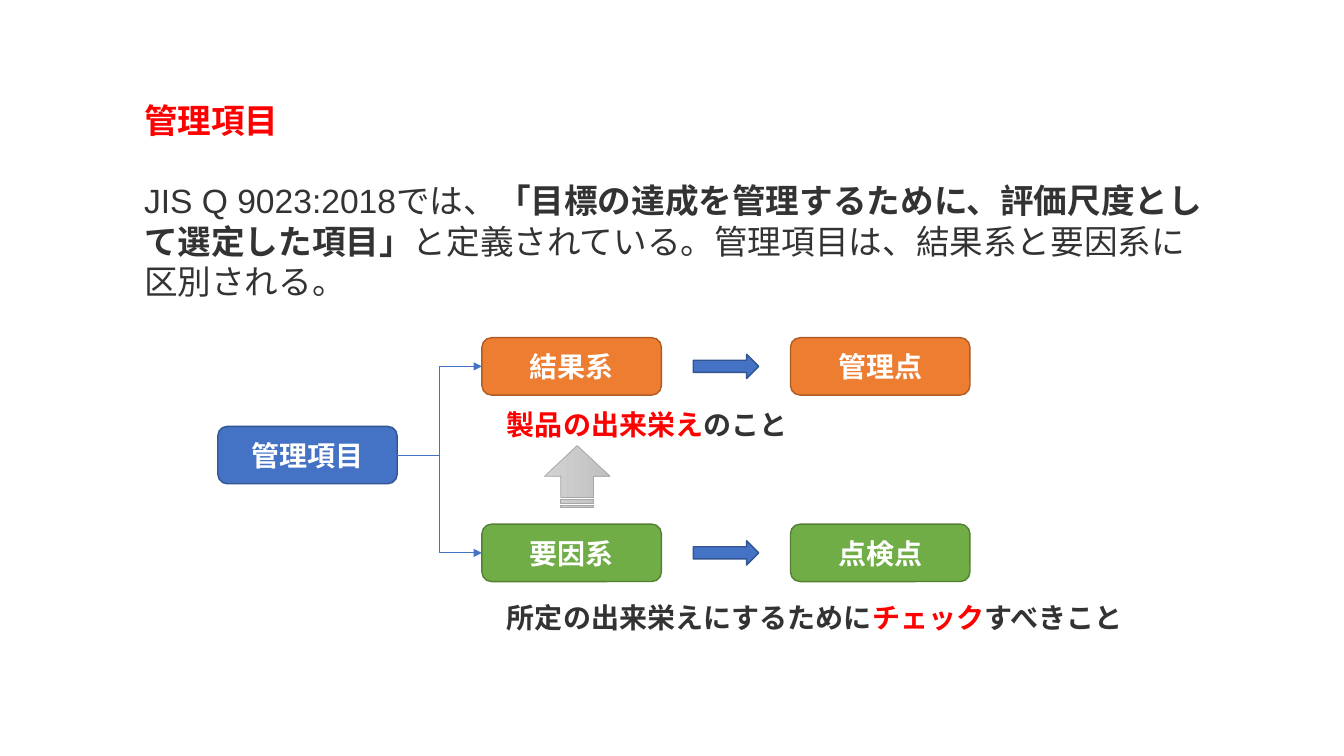
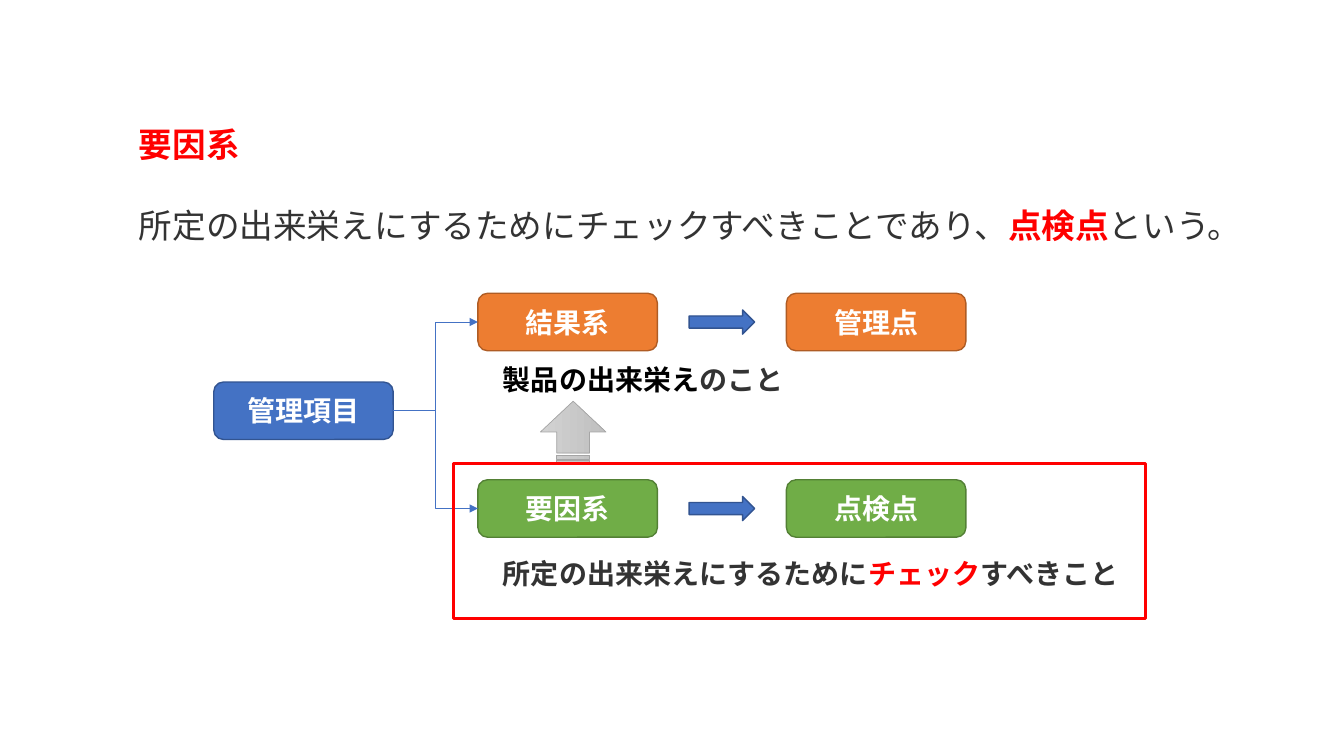
from dataclasses import dataclass

from lxml import etree
from pptx import Presentation
from pptx.dml.color import RGBColor
from pptx.enum.shapes import MSO_CONNECTOR, MSO_SHAPE
from pptx.enum.text import MSO_ANCHOR, PP_ALIGN
from pptx.oxml.ns import qn
from pptx.util import Inches, Pt


@dataclass(frozen=True)
class Theme:
    latin: str = "Arial"
    japanese: str = "Noto Sans CJK JP"
    body_size: int = 24
    label_size: int = 20
    leading: float = 1.2
    ink: str = "333333"
    black: str = "000000"
    white: str = "FFFFFF"
    red: str = "FF0000"
    blue: tuple = ("4472C4", "325491")
    orange: tuple = ("ED7D31", "AF5C24")
    green: tuple = ("70AD47", "538035")
    grey: tuple = ("D2D2D2", "C0C0C0", "A5A5A5")


THEME = Theme()

# Content: a run is (text, colour, bold)
SLIDES = [
    {
        "text_at": (1.33, 0.94, 10.82, 2.12),
        "title": "管理項目",
        "body": [
            ("JIS Q 9023:2018では、", THEME.ink, False),
            ("「目標の達成を管理するために、評価尺度として選定した項目」", THEME.ink, True),
            ("と定義されている。管理項目は、結果系と要因系に区別される。", THEME.ink, False),
        ],
        "diagram_at": (2.16, 3.35),
        "result_colour": THEME.red,
        "frame_cause": False,
    },
    {
        "text_at": (1.28, 1.18, 11.1, 1.31),
        "title": "要因系",
        "body": [
            ("所定の出来栄えにするためにチェックすべきことであり、", THEME.ink, False),
            ("点検点", THEME.red, True),
            ("という。", THEME.ink, False),
        ],
        "diagram_at": (2.12, 2.91),
        "result_colour": THEME.black,
        "frame_cause": True,
    },
]
ROOT = "管理項目"
BRANCHES = [
    {
        "family": "結果系",
        "point": "管理点",
        "colours": THEME.orange,
        "top": 0,
        "caption": [("製品の出来栄え", None, True), ("のこと", THEME.ink, True)],
        "caption_drop": 0.64,
        "caption_width": 4.37,
    },
    {
        "family": "要因系",
        "point": "点検点",
        "colours": THEME.green,
        "top": 1.85,
        "caption": [
            ("所定の出来栄えにするために", THEME.ink, True),
            ("チェック", THEME.red, True),
            ("すべきこと", THEME.ink, True),
        ],
        "caption_drop": 0.71,
        "caption_width": 6.47,
    },
]

# Diagram grid, measured from the diagram's left top corner
BOX_W, BOX_H = 1.78, 0.57
ROOT_TOP = 0.88
FAMILY_X, POINT_X, CAPTION_X = 2.62, 5.68, 2.77
ARROW_W, ARROW_H = 0.65, 0.24
RISE_AT = (3.26, 1.05, 0.61, 0.65)
FRAME_AT = (2.38, 1.69, 6.86, 1.54)


def rgb(code):
    return RGBColor.from_string(code)


def write(paragraph, runs, size):
    """Fill a paragraph; what all runs share goes on the paragraph."""
    font = paragraph.font
    font.name, font.size = THEME.latin, Pt(size)
    defaults = paragraph._p.pPr.find(qn("a:defRPr"))
    etree.SubElement(defaults, qn("a:ea"), typeface=THEME.japanese)
    paragraph.line_spacing = Pt(size * THEME.leading)
    same_colour = len({colour for _, colour, _ in runs}) == 1
    same_weight = len({bold for _, _, bold in runs}) == 1
    for text, colour, bold in runs:
        run = paragraph.add_run()
        run.text = text
        (font if same_colour else run.font).color.rgb = rgb(colour)
        (font if same_weight else run.font).bold = bold


def add_text(slide, at, paragraphs, size):
    frame = slide.shapes.add_textbox(*map(Inches, at)).text_frame
    frame.word_wrap = True
    for i, runs in enumerate(paragraphs):
        paragraph = frame.add_paragraph() if i else frame.paragraphs[0]
        write(paragraph, runs, size)
        if i:
            paragraph.space_before = Pt(size * THEME.leading)


def add_shape(slide, preset, at, fill, line, width=1):
    shape = slide.shapes.add_shape(preset, *map(Inches, at))
    shape.shadow.inherit = False
    if fill:
        shape.fill.solid()
        shape.fill.fore_color.rgb = rgb(fill)
    else:
        shape.fill.background()
    shape.line.color.rgb = rgb(line)
    shape.line.width = Pt(width)
    return shape


def add_box(slide, x, y, text, colours):
    box = add_shape(slide, MSO_SHAPE.FLOWCHART_ALTERNATE_PROCESS,
                    (x, y, BOX_W, BOX_H), *colours)
    box.text_frame.vertical_anchor = MSO_ANCHOR.MIDDLE
    label = box.text_frame.paragraphs[0]
    label.alignment = PP_ALIGN.CENTER
    write(label, [(text, THEME.white, True)], THEME.label_size)
    return box


def join(slide, start, end):
    link = slide.shapes.add_connector(
        MSO_CONNECTOR.ELBOW,
        start.left + start.width, start.top + start.height // 2,
        end.left, end.top + end.height // 2)
    link.begin_connect(start, 3)
    link.end_connect(end, 1)
    link.line.color.rgb = rgb(THEME.blue[0])
    link.line.width = Pt(0.5)
    properties = link._element.spPr
    etree.SubElement(properties.find(qn("a:ln")), qn("a:tailEnd"), type="triangle")
    etree.SubElement(properties, qn("a:effectLst"))


def add_rise(slide, at):
    """Striped grey arrow from cause up to result."""
    light, dark, edge = THEME.grey
    rise = add_shape(slide, MSO_SHAPE.STRIPED_RIGHT_ARROW, at, light, edge, 0.5)
    rise.rotation = 270
    rise.fill.gradient()
    rise.fill.gradient_angle = 270
    for stop, colour in zip(rise.fill.gradient_stops, (light, dark)):
        stop.color.rgb = rgb(colour)


def add_diagram(slide, content):
    left, top = content["diagram_at"]
    root = add_box(slide, left, top + ROOT_TOP, ROOT, THEME.blue)
    for branch in BRANCHES:
        y = top + branch["top"]
        family = add_box(slide, left + FAMILY_X, y, branch["family"], branch["colours"])
        add_box(slide, left + POINT_X, y, branch["point"], branch["colours"])
        join(slide, root, family)
        # Block arrow in the middle of the gap between the two boxes
        arrow_x = left + (FAMILY_X + BOX_W + POINT_X - ARROW_W) / 2
        arrow_y = y + (BOX_H - ARROW_H) / 2
        add_shape(slide, MSO_SHAPE.RIGHT_ARROW,
                  (arrow_x, arrow_y, ARROW_W, ARROW_H), *THEME.blue)
        caption = [(text, colour or content["result_colour"], bold)
                   for text, colour, bold in branch["caption"]]
        add_text(slide, (left + CAPTION_X, y + branch["caption_drop"],
                         branch["caption_width"], 0.44), [caption], THEME.label_size)
    x, y, width, height = RISE_AT
    add_rise(slide, (left + x, top + y, width, height))
    # Red frame around the cause branch
    if content["frame_cause"]:
        x, y, width, height = FRAME_AT
        add_shape(slide, MSO_SHAPE.RECTANGLE, (left + x, top + y, width, height),
                  None, THEME.red, 2.25)


def main():
    deck = Presentation()
    deck.slide_width, deck.slide_height = Inches(13.33), Inches(7.5)
    for content in SLIDES:
        slide = deck.slides.add_slide(deck.slide_layouts[6])
        title = [(content["title"], THEME.red, True)]
        add_text(slide, content["text_at"], [title, content["body"]], THEME.body_size)
        add_diagram(slide, content)
    deck.save("out.pptx")


if __name__ == "__main__":
    main()
